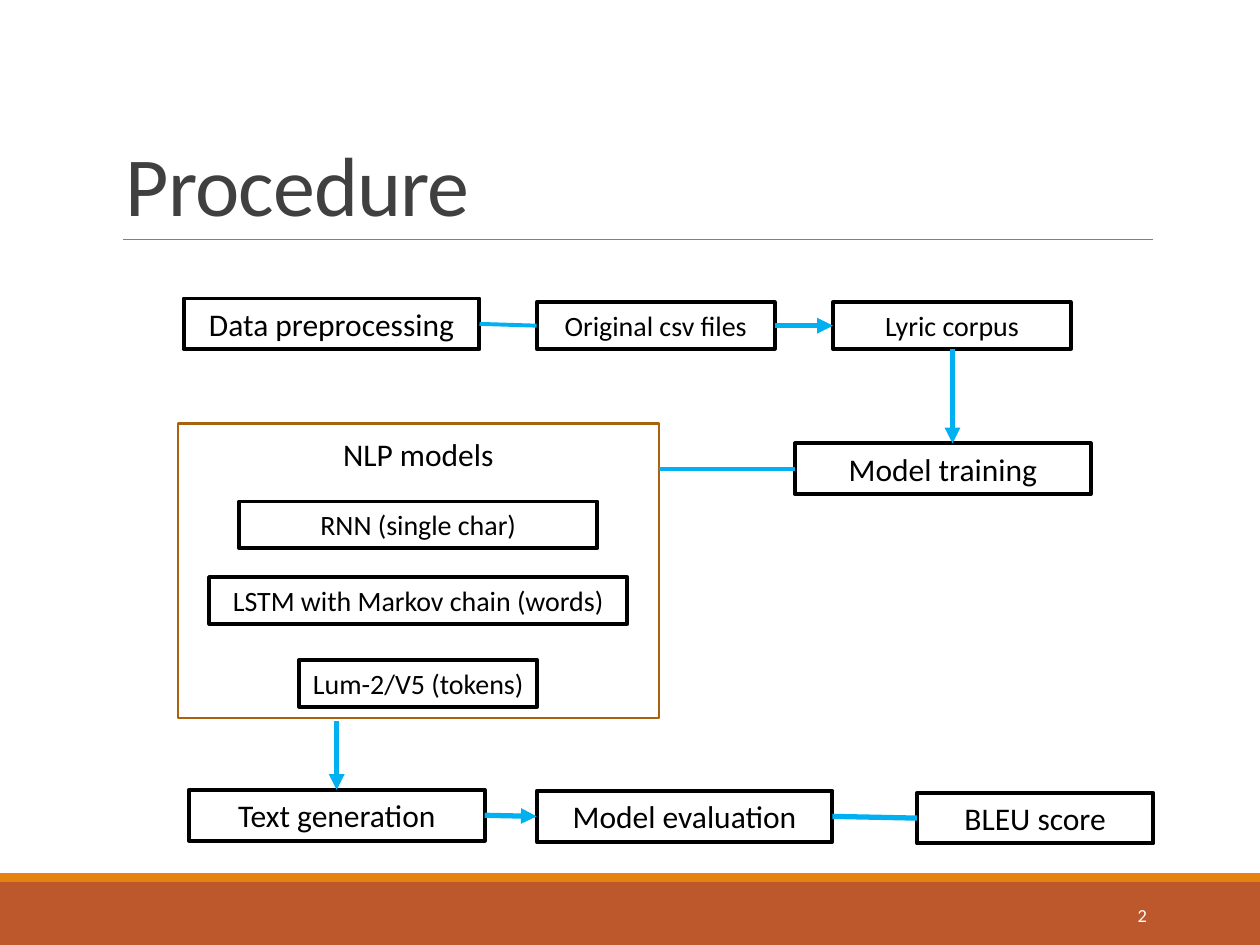
from lxml import etree
from pptx import Presentation
from pptx.dml.color import RGBColor
from pptx.enum.shapes import MSO_CONNECTOR, MSO_SHAPE
from pptx.enum.text import MSO_ANCHOR, PP_ALIGN
from pptx.oxml.ns import qn
from pptx.util import Pt

RECT, LINE = MSO_SHAPE.RECTANGLE, MSO_CONNECTOR.STRAIGHT
LEFT, MID, RIGHT = PP_ALIGN.LEFT, PP_ALIGN.CENTER, PP_ALIGN.RIGHT
TOP, CENTER, BOTTOM = MSO_ANCHOR.TOP, MSO_ANCHOR.MIDDLE, MSO_ANCHOR.BOTTOM
TO_LEFT, TO_RIGHT = 1, 3
FONT = "Calibri"
HEX = {"ink": "000000", "title": "404040", "rule": "808080", "flow": "00B0F0",
       "panel": "A9610D", "band": "BD582C", "strip": "E48312", "white": "FFFFFF"}

BANDS = [("band", 504, 36), ("strip", 499, 5)]
BIG, SMALL = (18, 29), (16, 26.6)
STEPS = [
    ("Data preprocessing", 105, 170.6, 169, BIG),
    ("Original csv files", 306.7, 172.8, 136, SMALL),
    ("Lyric corpus", 476, 172.8, 136, SMALL),
    ("Model training", 454.3, 253.4, 169, BIG),
    ("Text generation", 108, 451.4, 169, BIG),
    ("Model evaluation", 306.7, 452, 169, BIG),
    ("BLEU score", 524, 453, 135, BIG),
]
PANEL = (101.5, 242, 275, 168.4)
MODELS = [
    ("RNN (single char)", 286.6, 204.8),
    ("LSTM with Markov chain (words)", 329.8, 239),
    ("Lum-2/V5 (tokens)", 377.2, 136),
]
LINKS = [
    ("Data preprocessing", "Original csv files", 2.25, False),
    ("Original csv files", "Lyric corpus", 3, True),
    ("Text generation", "Model evaluation", 3, True),
    ("Model evaluation", "BLEU score", 3, False),
]
FLOWS = [
    ((544.3, 199.4, 544.3, 253.4), 3, True),
    ((376.5, 267.8, 454.3, 267.8), 2.25, False),
    ((192.4, 412, 192.4, 451.4), 3, True),
]


def color(name):
    return RGBColor.from_string(HEX[name])


def write(shape, text, size, ink="ink", align=MID, anchor=TOP):
    frame = shape.text_frame
    frame.word_wrap = True
    frame.vertical_anchor = anchor
    para = frame.paragraphs[0]
    para.text = text
    para.alignment = align
    font = para.font
    font.name, font.size = FONT, Pt(size)
    font.color.rgb = color(ink)
    return para


def label(area, *args):
    return write(slide.shapes.add_textbox(*map(Pt, area)), *args)


def block(area, fill=None, edge=None, width=2.25):
    shape = slide.shapes.add_shape(RECT, *map(Pt, area))
    shape.shadow.inherit = False
    if fill:
        shape.fill.solid()
        shape.fill.fore_color.rgb = color(fill)
    else:
        shape.fill.background()
    if edge:
        shape.line.color.rgb = color(edge)
        shape.line.width = Pt(width)
    else:
        shape.line.fill.background()
    return shape


def step(text, left, top, width, kind):
    size, height = kind
    shape = block((left, top, width, height), edge="ink")
    write(shape, text, size)
    return shape


def link(ends, width, arrow=False, ink="flow"):
    line = slide.shapes.add_connector(LINE, *map(Pt, ends))
    line.line.color.rgb = color(ink)
    line.line.width = Pt(width)
    props = line._element.spPr
    etree.SubElement(props, qn("a:effectLst"))
    if arrow:
        etree.SubElement(props.find(qn("a:ln")), qn("a:tailEnd"), type="triangle")
    return line


deck = Presentation()
deck.slide_width, deck.slide_height = Pt(720), Pt(540)
slide = deck.slides.add_slide(deck.slide_layouts[6])

for fill, top, height in BANDS:
    block((0, top, 720, height), fill)
link((70.5, 136.8, 659, 136.8), 0.5, ink="rule")
title = label((64.8, 22.3, 594, 114.5), "Procedure", 48, "title", LEFT, BOTTOM)
title.line_spacing = 0.85
title.runs[0].font._element.set("spc", "-50")
label((584.6, 508.3, 77.8, 28.8), "2", 10.5, "white", RIGHT, CENTER)

boxes = {item[0]: step(*item) for item in STEPS}

left, top, width, height = PANEL
block(PANEL, edge="panel", width=1.25)
label((left, top + 2.8, width, 29), "NLP models", 18)
for text, y, wide in MODELS:
    step(text, left + (width - wide) / 2, y, wide, SMALL)

for start, end, weight, arrow in LINKS:
    line = link((0, 0, 0, 0), weight, arrow)
    line.begin_connect(boxes[start], TO_RIGHT)
    line.end_connect(boxes[end], TO_LEFT)
for flow in FLOWS:
    link(*flow)

deck.save("out.pptx")
